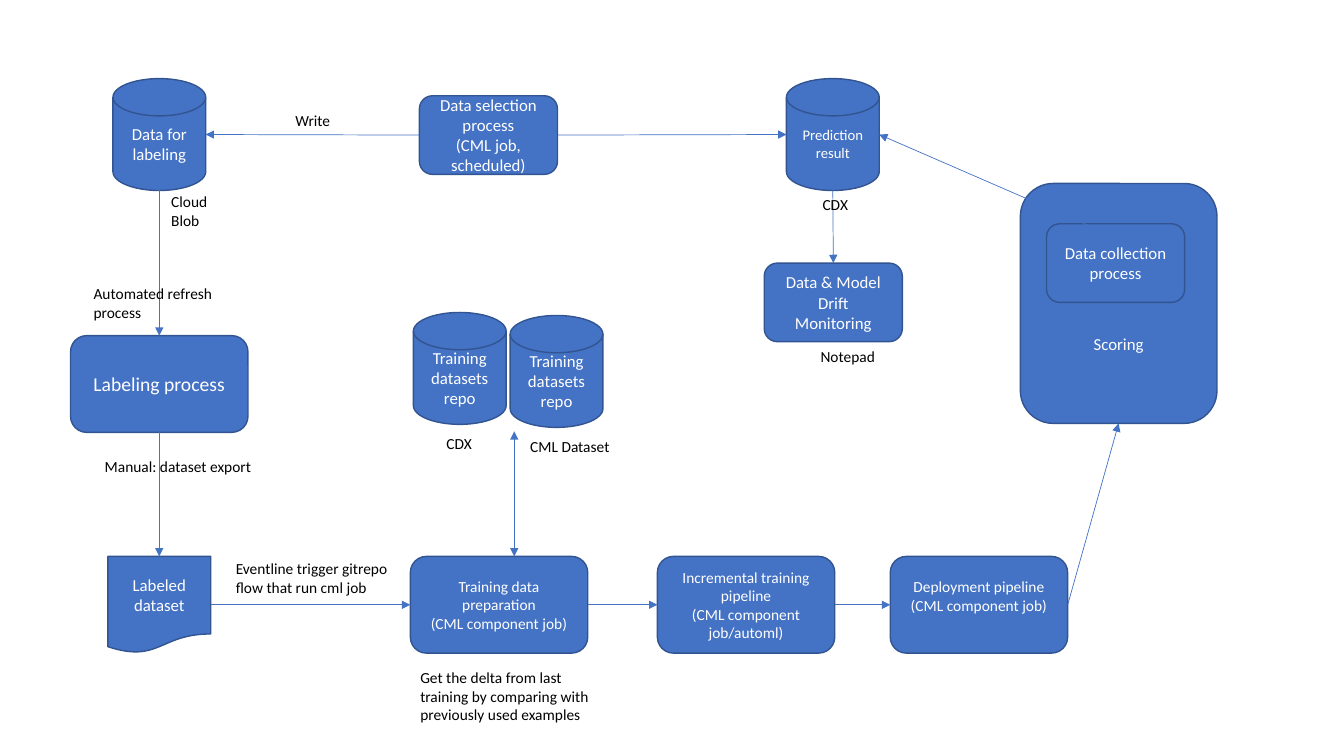
from dataclasses import dataclass
from lxml.etree import SubElement
from pptx import Presentation
from pptx.dml.color import RGBColor
from pptx.enum.shapes import MSO_CONNECTOR, MSO_SHAPE
from pptx.enum.text import MSO_ANCHOR, PP_ALIGN
from pptx.oxml.ns import qn
from pptx.util import Inches, Pt


@dataclass(frozen=True)
class Theme:
    font: str = "Calibri"
    fill: str = "4472C4"
    edge: str = "325491"
    light: str = "FFFFFF"
    dark: str = "000000"
    large: float = 14
    body: float = 12
    small: float = 11
    tiny: float = 10.5
    rim: float = 1
    thin: float = 0.5


class Board:
    def __init__(self, slide, theme):
        self.slide = slide
        self.theme = theme

    def letter(self, frame, text, size, color, align):
        frame.word_wrap = True
        frame.text = text
        for para in frame.paragraphs:
            para.alignment = align
            for run in para.runs:
                run.font.name = self.theme.font
                run.font.size = Pt(size)
                run.font.color.rgb = RGBColor.from_string(color)

    def node(self, kind, box, text, size, top=0.05, bottom=0.05):
        shape = self.slide.shapes.add_shape(kind, *map(Inches, box))
        shape.shadow.inherit = False
        shape.fill.solid()
        shape.fill.fore_color.rgb = RGBColor.from_string(self.theme.fill)
        shape.line.color.rgb = RGBColor.from_string(self.theme.edge)
        shape.line.width = Pt(self.theme.rim)
        frame = shape.text_frame
        frame.vertical_anchor = MSO_ANCHOR.MIDDLE
        frame.margin_top, frame.margin_bottom = Inches(top), Inches(bottom)
        self.letter(frame, text, size, self.theme.light, PP_ALIGN.CENTER)
        return shape

    def label(self, box, text):
        shape = self.slide.shapes.add_textbox(*map(Inches, box))
        self.letter(shape.text_frame, text, self.theme.small,
                    self.theme.dark, PP_ALIGN.LEFT)

    def arrow(self, start, end, both=False):
        link = self.slide.shapes.add_connector(
            MSO_CONNECTOR.STRAIGHT, *start, *end)
        link.line.color.rgb = RGBColor.from_string(self.theme.fill)
        link.line.width = Pt(self.theme.thin)
        props = link._element.spPr
        stroke = props.find(qn("a:ln"))
        for tag in ("a:headEnd", "a:tailEnd") if both else ("a:tailEnd",):
            SubElement(stroke, qn(tag)).set("type", "triangle")
        SubElement(props, qn("a:effectLst"))


def left(shape):
    return shape.left, shape.top + shape.height // 2


def right(shape):
    return shape.left + shape.width, shape.top + shape.height // 2


def top(shape):
    return shape.left + shape.width // 2, shape.top


def base(shape):
    return shape.left + shape.width // 2, shape.top + shape.height


deck = Presentation()
deck.slide_width, deck.slide_height = Inches(13.33), Inches(7.5)
theme = Theme()
board = Board(deck.slides.add_slide(deck.slide_layouts[6]), theme)

ROUND = MSO_SHAPE.ROUNDED_RECTANGLE
DISK = MSO_SHAPE.FLOWCHART_MAGNETIC_DISK
PAGE = MSO_SHAPE.FLOWCHART_DOCUMENT
STORE, STEP, STAGE = (0.92, 1.11), (1.37, 0.78), (1.76, 0.96)
ROW = 5.52

score = board.node(ROUND, (10.12, 1.82, 1.95, 2.38), "Scoring",
                   theme.body, top=0.85)
result = board.node(DISK, (7.8, 0.78, *STORE), "Prediction result", theme.tiny)
select = board.node(ROUND, (4.16, 0.95, *STEP),
                    "Data selection process\n(CML job, scheduled)", theme.body)
queue = board.node(DISK, (1.12, 0.78, *STORE), "Data for labeling", theme.body)
tag = board.node(ROUND, (0.7, 3.33, *STAGE), "Labeling process", theme.large)
labeled = board.node(PAGE, (1.07, ROW, 1.02, 0.96), "Labeled dataset",
                     theme.body)
prep = board.node(ROUND, (4.07, ROW, *STAGE),
                  "Training data preparation\n(CML component job)",
                  theme.small)
train = board.node(ROUND, (6.52, ROW, *STAGE),
                   "Incremental training pipeline\n"
                   "(CML component job/automl)", theme.small)
deploy = board.node(ROUND, (8.83, ROW, *STAGE),
                    "Deployment pipeline\n(CML component job)",
                    theme.small, bottom=0.23)
for x, y in ((4.1, 3.1), (5.06, 3.13)):
    board.node(DISK, (x, y, *STORE), "Training datasets repo", theme.body)
board.node(ROUND, (10.38, 2.22, *STEP), "Data collection process", theme.body)
drift = board.node(ROUND, (7.58, 2.61, *STEP),
                   "Data & Model Drift Monitoring", theme.body)

for start, end in (
    (right(select), left(result)),
    (left(select), right(queue)),
    (base(queue), top(tag)),
    (base(tag), top(labeled)),
    (right(labeled), left(prep)),
    (right(prep), left(train)),
    (right(train), left(deploy)),
    (right(deploy), base(score)),
    ((Inches(11.1), Inches(2.37)), right(result)),
    (base(result), top(drift)),
):
    board.arrow(start, end)
board.arrow((Inches(5.1), Inches(ROW)), (Inches(5.1), Inches(4.28)), both=True)

for box, text in (
    ((4.33, 4.26, 0.77, 0.29), "CDX"),
    ((4.07, 6.58, 1.87, 0.66), "Get the delta from last training by comparing "
                               "with previously used examples"),
    ((1.6, 1.86, 0.77, 0.47), "Cloud Blob"),
    ((8.06, 1.89, 0.77, 0.29), "CDX"),
    ((8.04, 3.39, 0.77, 0.29), "Notepad"),
    ((5.16, 4.29, 1.04, 0.29), "CML Dataset"),
    ((0.83, 2.77, 1.83, 0.47), "Automated refresh process"),
    ((2.83, 1.05, 0.92, 0.29), "Write"),
    ((0.94, 4.49, 1.83, 0.29), "Manual: dataset export"),
    ((2.24, 5.5, 1.83, 0.47), "Eventline trigger gitrepo flow that run cml job"),
):
    board.label(box, text)

deck.save("out.pptx")
